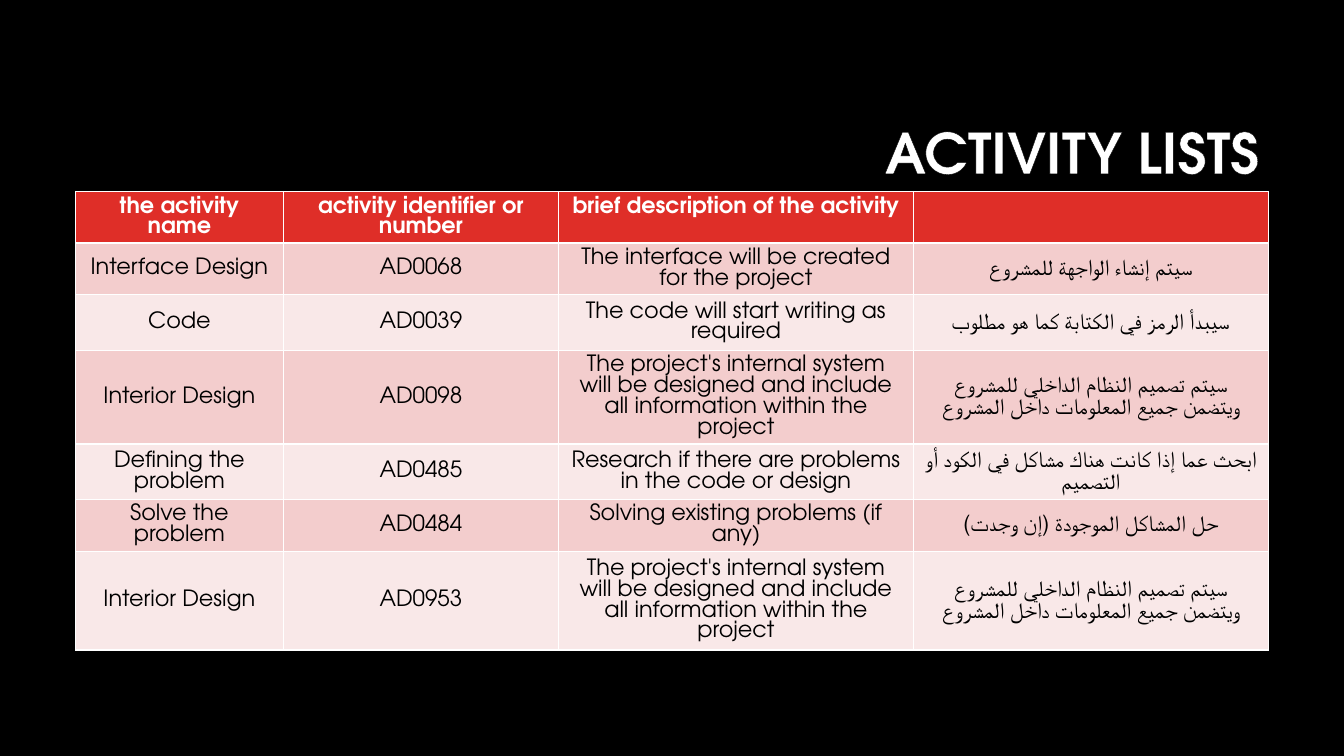
"""Build the activity list slide: a title over a banded table."""
from lxml import etree
from pptx import Presentation, util as u
from pptx.dml.color import RGBColor
from pptx.enum import text
from pptx.oxml import ns

WIDTH, HEIGHT = u.Inches(13.33), u.Inches(7.5)
FONT = "TeX Gyre Adventor"
BLACK = RGBColor(0x00, 0x00, 0x00)
WHITE = RGBColor(0xFF, 0xFF, 0xFF)
RED = RGBColor(0xDF, 0x2E, 0x28)
ROSE = RGBColor(0xF3, 0xCD, 0xCD)
BLUSH = RGBColor(0xF9, 0xE8, 0xE8)

COLUMN_WIDTHS = (2.06, 2.73, 3.52, 3.52)
ROW_HEIGHTS = (0.51, 0.51, 0.55, 0.93, 0.55, 0.51, 0.98)
INTERNAL_SYSTEM = (
    "The project's internal system will be designed and include all information within the project",
    "سيتم تصميم النظام الداخلي للمشروع ويتضمن جميع المعلومات داخل المشروع",
)
ACTIVITIES = (
    ("the activity name", "activity identifier or number", "brief description of the activity", ""),
    ("Interface Design", "AD0068", "The interface will be created for the project",
     "سيتم إنشاء الواجهة للمشروع"),
    ("Code", "AD0039", "The code will start writing as required",
     "سيبدأ الرمز في الكتابة كما هو مطلوب"),
    ("Interior Design", "AD0098", *INTERNAL_SYSTEM),
    ("Defining the problem", "AD0485", "Research if there are problems in the code or design",
     "ابحث عما إذا كانت هناك مشاكل في الكود أو التصميم"),
    ("Solve the problem", "AD0484", "Solving existing problems (if any)",
     "حل المشاكل الموجودة (إن وجدت)"),
    ("Interior Design", "AD0953", *INTERNAL_SYSTEM),
)


def add_line(parent, tag, color, points, index):
    """Insert a solid line element into a cell's or a run's properties."""
    line = etree.Element(ns.qn(tag), w=str(u.Pt(points)))
    fill = etree.SubElement(line, ns.qn("a:solidFill"))
    etree.SubElement(fill, ns.qn("a:srgbClr"), val=str(color))
    parent.insert(index, line)


def style_paragraph(paragraph, size, color, bold, alignment):
    """Align a paragraph and set the font of its runs."""
    paragraph.alignment = alignment
    for font in (paragraph.font, *(run.font for run in paragraph.runs)):
        font.name, font.size, font.bold = FONT, u.Pt(size), bold
        font.color.rgb = color


def add_title(slide, wording):
    """Place the right-aligned, outlined slide title."""
    title = slide.shapes.title
    title.left, title.top = u.Inches(3.17), u.Inches(0.84)
    title.width, title.height = u.Inches(9.42), u.Inches(1.41)
    title.text_frame.text = wording
    title.text_frame.vertical_anchor = text.MSO_ANCHOR.MIDDLE
    heading = title.text_frame.paragraphs[0]
    heading.line_spacing = 0.9
    style_paragraph(heading, 40, WHITE, True, text.PP_ALIGN.RIGHT)
    add_line(heading.runs[0].font._element, "a:ln", BLACK, 0.75, 0)


def fill_cell(cell, wording, is_header, background, sides):
    """Write one cell with its background and inner borders."""
    cell.text_frame.text = wording
    cell.vertical_anchor = text.MSO_ANCHOR.TOP if is_header else text.MSO_ANCHOR.MIDDLE
    cell.fill.solid()
    cell.fill.fore_color.rgb = background
    style_paragraph(cell.text_frame.paragraphs[0], 16, WHITE if is_header else BLACK,
                    is_header, text.PP_ALIGN.CENTER)
    for index, side in enumerate(sides):
        add_line(cell._tc.get_or_add_tcPr(), f"a:ln{side}", WHITE, 1, index)


def add_activity_table(slide):
    """Add the activity table with a red header and alternating rows."""
    last_row, last_column = len(ROW_HEIGHTS) - 1, len(COLUMN_WIDTHS) - 1
    table = slide.shapes.add_table(
        len(ROW_HEIGHTS), len(COLUMN_WIDTHS), u.Inches(0.75), u.Inches(1.9),
        u.Inches(sum(COLUMN_WIDTHS)), u.Inches(sum(ROW_HEIGHTS))).table
    for column, width in zip(table.columns, COLUMN_WIDTHS):
        column.width = u.Inches(width)
    for r, (height, activity) in enumerate(zip(ROW_HEIGHTS, ACTIVITIES)):
        table.rows[r].height = u.Inches(height)
        background = RED if r == 0 else (BLUSH, ROSE)[r % 2]
        for c, wording in enumerate(activity):
            inner = {"L": c > 0, "R": c < last_column, "T": r > 0, "B": r < last_row}
            sides = [side for side, shown in inner.items() if shown]
            cell = table.cell(r, c)
            fill_cell(cell, wording, r == 0, background, sides)
            if c == last_column:
                cell.text_frame.paragraphs[0]._p.get_or_add_pPr().set("rtl", "1")


def main():
    """Create the presentation and save it."""
    deck = Presentation()
    deck.slide_width, deck.slide_height = WIDTH, HEIGHT
    slide = deck.slides.add_slide(deck.slide_layouts[5])
    slide.background.fill.solid()
    slide.background.fill.fore_color.rgb = BLACK
    add_title(slide, "ACTIVITY LISTS")
    add_activity_table(slide)
    deck.save("out.pptx")


if __name__ == "__main__":
    main()
